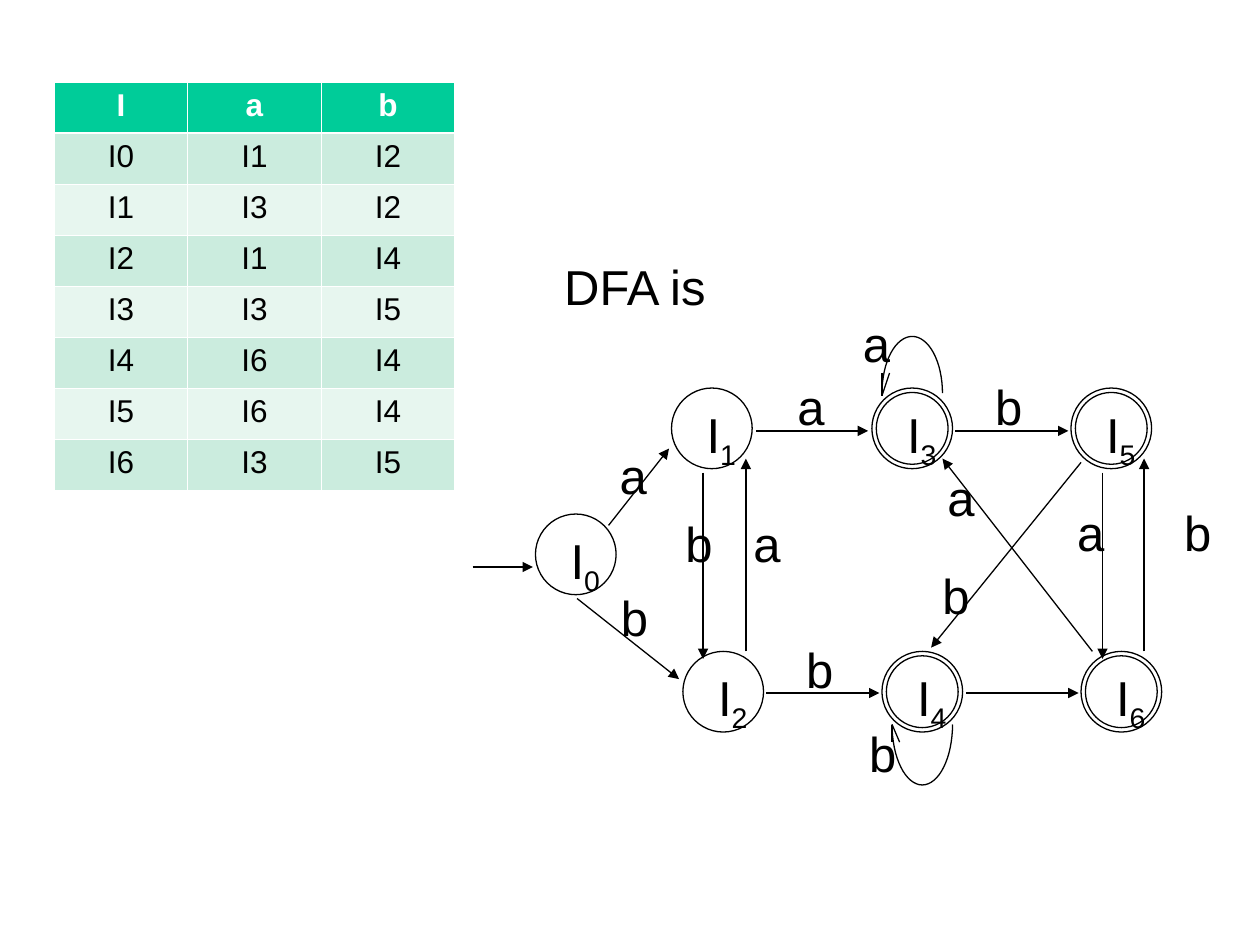
import math

import pptx
import pptx.dml.color
import pptx.enum.shapes
import pptx.enum.text
import pptx.oxml.ns
import pptx.util
from lxml import etree
from pptx.util import Inches

COLORS = {"ink": "000000", "white": "FFFFFF", "header": "00CC99", "odd": "CBECDE", "even": "E7F6EF"}
FONT = "Arial"
LABEL_FONT = {"name": FONT, "size": pptx.util.Pt(28)}
DIAMETER = 0.64
LABEL_WIDTH = 0.41

STATES = [
    ("0", 4.25, 4.08, False),
    ("1", 5.33, 3.08, False),
    ("2", 5.42, 5.17, False),
    ("3", 6.92, 3.08, True),
    ("4", 7, 5.17, True),
    ("5", 8.5, 3.08, True),
    ("6", 8.58, 5.17, True),
]
ARROWS = [
    (3.75, 4.5, 4.23, 4.5),
    (4.83, 4.17, 5.31, 3.56),
    (4.58, 4.75, 5.39, 5.39),
    (5.92, 5.17, 5.92, 3.64),
    (5.58, 3.75, 5.58, 5.23),
    (6, 3.42, 6.89, 3.42),
    (6.08, 5.5, 6.98, 5.5),
    (7.58, 3.42, 8.48, 3.42),
    (7.67, 5.5, 8.56, 5.5),
    (8.58, 3.67, 7.39, 5.14),
    (8.67, 5.17, 7.48, 3.64),
    (9.08, 5.17, 9.08, 3.64),
    (8.75, 3.75, 8.75, 5.23),
]
EDGE_LABELS = [
    ("a", 4.82, 3.49), ("b", 5.34, 4.03), ("a", 5.88, 4.03), ("a", 6.23, 2.94),
    ("a", 8.45, 3.94), ("b", 9.3, 3.94), ("a", 7.42, 3.66), ("b", 4.83, 4.61),
    ("b", 6.3, 5.03), ("b", 7.38, 4.44), ("b", 7.8, 2.94), ("b", 6.8, 5.69),
    ("a", 6.75, 2.44),
]
TRANSITIONS = [
    ("I", "a", "b"),
    ("I0", "I1", "I2"),
    ("I1", "I3", "I2"),
    ("I2", "I1", "I4"),
    ("I3", "I3", "I5"),
    ("I4", "I6", "I4"),
    ("I5", "I6", "I4"),
    ("I6", "I3", "I5"),
]


def rgb(name):
    return pptx.dml.color.RGBColor.from_string(COLORS[name])


def apply(target, values):
    for name, value in values.items():
        setattr(target, name, value)


def add_run(p, text, font, color):
    r = p.add_run()
    r.text = text
    apply(r.font, font)
    r.font.color.rgb = rgb(color)
    return r


def style_line(sp):
    sp.line.color.rgb = rgb("ink")
    sp.line.width = pptx.util.Pt(0.75)


def add_label(s, text, x, y, width=LABEL_WIDTH, subscript=None):
    height = 0.63 if subscript else 0.57
    sp = s.shapes.add_textbox(Inches(x), Inches(y), Inches(width), Inches(height))
    apply(sp.text_frame, {
        "word_wrap": False,
        "auto_size": pptx.enum.text.MSO_AUTO_SIZE.SHAPE_TO_FIT_TEXT,
    })
    p = sp.text_frame.paragraphs[0]
    add_run(p, text, LABEL_FONT, "ink")
    if subscript:
        r = add_run(p, subscript, LABEL_FONT, "ink")
        r._r.get_or_add_rPr().set("baseline", "-25000")


def add_state(s, number, x, y, accepting):
    kinds = pptx.enum.shapes.MSO_SHAPE
    sp = s.shapes.add_shape(kinds.DONUT if accepting else kinds.OVAL,
                            Inches(x), Inches(y), Inches(DIAMETER), Inches(DIAMETER))
    if accepting:
        sp.adjustments[0] = 0.055
    sp.shadow.inherit = False
    sp.fill.background()
    style_line(sp)
    add_label(s, "I", x + 0.18, y + 0.08, 0.43, number)


def add_line(s, x1, y1, x2, y2, arrow=False):
    sp = s.shapes.add_connector(pptx.enum.shapes.MSO_CONNECTOR.STRAIGHT,
                                Inches(x1), Inches(y1), Inches(x2), Inches(y2))
    style_line(sp)
    qn = pptx.oxml.ns.qn
    spPr = sp._element.spPr
    if arrow:
        etree.SubElement(spPr.find(qn("a:ln")), qn("a:tailEnd"), type="triangle")
    etree.SubElement(spPr, qn("a:effectLst"))


def add_loop(s, cx, y, height, tip_y, barbs):
    radius, steps = 0.24, 32
    points = [
        (Inches(cx + radius * math.cos(math.pi * i / steps)),
         Inches(y + height * math.sin(math.pi * i / steps)))
        for i in range(steps + 1)
    ]
    builder = s.shapes.build_freeform(*points[0])
    builder.add_line_segments(points[1:], close=False)
    sp = builder.convert_to_shape()
    sp.shadow.inherit = False
    sp.fill.background()
    style_line(sp)
    tip_x = cx - radius
    for dx, dy in barbs:
        add_line(s, tip_x, tip_y, tip_x + dx, tip_y + dy)


def set_borders(cell, row):
    qn = pptx.oxml.ns.qn
    tcPr = cell._tc.get_or_add_tcPr()
    for side in "LRTB":
        thick = (row, side) in ((0, "B"), (1, "T"))
        width = pptx.util.Pt(1.47 if thick else 0.45)
        ln = etree.SubElement(tcPr, qn(f"a:ln{side}"), w=str(width))
        fill = etree.SubElement(ln, qn("a:solidFill"))
        etree.SubElement(fill, qn("a:srgbClr"), val=COLORS["white"])


def add_transition_table(s):
    rows, cols = len(TRANSITIONS), len(TRANSITIONS[0])
    table = s.shapes.add_table(rows, cols, Inches(0.43), Inches(0.65),
                               Inches(3.18), Inches(3.24)).table
    for i, values in enumerate(TRANSITIONS):
        header = i == 0
        fill = "header" if header else "odd" if i % 2 else "even"
        for j, text in enumerate(values):
            cell = table.cell(i, j)
            set_borders(cell, i)
            cell.fill.solid()
            cell.fill.fore_color.rgb = rgb(fill)
            p = cell.text_frame.paragraphs[0]
            p.alignment = pptx.enum.text.PP_ALIGN.CENTER
            font = {"name": FONT, "size": pptx.util.Pt(18), "bold": header}
            add_run(p, text, font, "white" if header else "ink")


def main():
    prs = pptx.Presentation()
    apply(prs, {"slide_width": Inches(10), "slide_height": Inches(7.5)})
    s = prs.slides.add_slide(prs.slide_layouts[6])
    add_label(s, "DFA is", 4.38, 1.99, 1.36)
    for state in STATES:
        add_state(s, *state)
    for arrow in ARROWS:
        add_line(s, *arrow, arrow=True)
    add_loop(s, 7.24, 3.12, -0.45, 3.14, [(0, -0.18), (0.06, -0.18)])
    add_loop(s, 7.32, 5.75, 0.48, 5.75, [(0, 0.14), (0.06, 0.14)])
    for label in EDGE_LABELS:
        add_label(s, *label)
    add_transition_table(s)
    prs.save("out.pptx")


if __name__ == "__main__":
    main()
